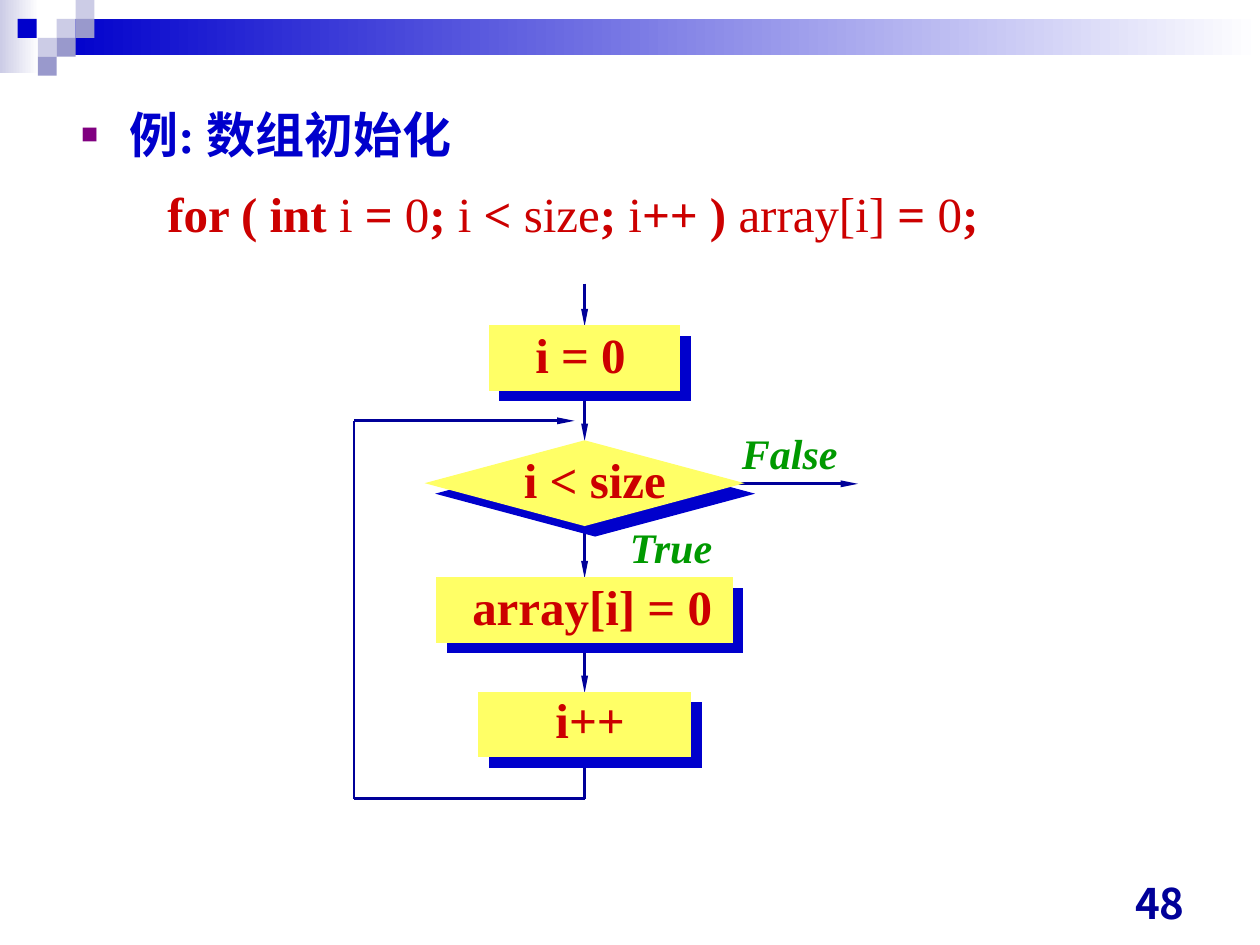
"""Build a slide that explains array initialisation with a for-loop flowchart."""
from lxml import etree
from pptx import Presentation
from pptx.dml.color import RGBColor
from pptx.enum.shapes import MSO_CONNECTOR, MSO_SHAPE
from pptx.enum.text import MSO_ANCHOR, PP_ALIGN
from pptx.oxml.ns import qn
from pptx.util import Inches, Pt

RECTANGLE, DIAMOND = MSO_SHAPE.RECTANGLE, MSO_SHAPE.DIAMOND
STRAIGHT = MSO_CONNECTOR.STRAIGHT
LEFT, RIGHT = PP_ALIGN.LEFT, PP_ALIGN.RIGHT
TOP, BOTTOM = MSO_ANCHOR.TOP, MSO_ANCHOR.BOTTOM

WHITE = RGBColor(0xFF, 0xFF, 0xFF)
BLUE = RGBColor(0x00, 0x00, 0xCC)
NAVY = RGBColor(0x00, 0x00, 0x99)
PALE = RGBColor(0xCC, 0xCC, 0xE6)
LILAC = RGBColor(0x99, 0x99, 0xCC)
YELLOW = RGBColor(0xFF, 0xFF, 0x66)
RED = RGBColor(0xCC, 0x00, 0x00)
GREEN = RGBColor(0x00, 0x99, 0x00)
PURPLE = RGBColor(0x80, 0x00, 0x80)

SERIF, SANS, CHINESE = "Times New Roman", "Noto Sans CJK JP", "Noto Sans CJK SC"
AXIS = 4.64
LOOP_LEFT, LOOP_TOP, LOOP_BOTTOM = 2.81, 3.34, 6.34
TILE = 0.15

TILES = [(0.45, 0.15, PALE), (0.6, 0, PALE), (0.6, 0.15, LILAC), (0.3, 0.3, PALE),
         (0.14, 0.15, BLUE), (0.45, 0.3, LILAC), (0.3, 0.45, LILAC)]
STEPS = [(RECTANGLE, 2.59, 1.5, 0.5, 1.5), (DIAMOND, 3.5, 2.5, 0.67, 0.75),
         (RECTANGLE, 4.59, 2.33, 0.5, 1.5), (RECTANGLE, 5.5, 1.67, 0.5, 1.5)]
LABELS = [("i = 0", 4.15, 2.53, 1), ("i < size", 4.06, 3.52, 1.4),
          ("array[i] = 0", 3.65, 4.53, 2.2), ("i++", 4.31, 5.42, 0.85)]
BRANCHES = [("True", 4.9, 4.09, 0.95), ("False", 5.79, 3.34, 1.05)]
ARROWS = [(AXIS, 2.25, AXIS, 2.59), (AXIS, 3.17, AXIS, 3.5), (AXIS, 4.17, AXIS, 4.59),
          (AXIS, 5.17, AXIS, 5.5), (5.81, 3.84, 6.81, 3.84),
          (LOOP_LEFT, LOOP_TOP, 4.56, LOOP_TOP)]
LINES = [(AXIS, 6.09, AXIS, LOOP_BOTTOM), (AXIS, LOOP_BOTTOM, LOOP_LEFT, LOOP_BOTTOM),
         (LOOP_LEFT, LOOP_TOP, LOOP_LEFT, LOOP_BOTTOM)]
CODE = [("for ( int ", True), ("i", False), (" = ", True), ("0", False), ("; ", True),
        ("i", False), (" < ", True), ("size", False), ("; ", True), ("i", False),
        ("++ ) ", True), ("array[i]", False), (" = ", True), ("0", False), (";", True)]


def add_block(page, kind, left, top, width, height):
    """Add a preset shape without outline or inherited shadow."""
    block = page.shapes.add_shape(kind, Inches(left), Inches(top), Inches(width), Inches(height))
    block.shadow.inherit = False
    block.line.fill.background()
    return block


def add_solid(page, kind, left, top, width, height, color):
    """Add a preset shape in one colour."""
    block = add_block(page, kind, left, top, width, height)
    block.fill.solid()
    block.fill.fore_color.rgb = color
    return block


def add_fade(page, left, top, width, height, color):
    """Add a bar that fades from a colour on the left to white."""
    bar = add_block(page, RECTANGLE, left, top, width, height)
    bar.fill.gradient()
    bar.fill.gradient_angle = 0
    for stop, shade, position in zip(bar.fill.gradient_stops, (color, WHITE), (0, 1)):
        stop.color.rgb = shade
        stop.position = position


def add_step(page, kind, top, width, height, weight):
    """Add a sharp-cornered step centred on the axis, with a hard blue shadow."""
    step = add_solid(page, kind, AXIS - width / 2, top, width, height, YELLOW)
    step.line.color.rgb = YELLOW
    step.line.width = Pt(weight)
    properties = step._element.spPr
    etree.SubElement(properties.find(qn("a:ln")), qn("a:miter"), lim="800000")
    shadow = etree.SubElement(properties.find(qn("a:effectLst")), qn("a:outerShdw"),
                              dist=str(Pt(8.5)), dir="2700000", algn="ctr", rotWithShape="0")
    etree.SubElement(shadow, qn("a:srgbClr"), val=str(BLUE))


def add_line(page, ends, arrow=False):
    """Add a straight navy line, with an arrowhead at its end if asked."""
    line = page.shapes.add_connector(STRAIGHT, *[Inches(value) for value in ends])
    line.line.color.rgb = NAVY
    line.line.width = Pt(1.5)
    properties = line._element.spPr
    if arrow:
        etree.SubElement(properties.find(qn("a:ln")), qn("a:tailEnd"),
                         type="triangle", w="sm", len="lg")
    etree.SubElement(properties, qn("a:effectLst"))


def style(span, size, color, bold=True, italic=False, font=SERIF):
    """Format one run of text."""
    span.font.name = font
    span.font.size = Pt(size)
    span.font.bold = bold
    span.font.italic = italic
    span.font.color.rgb = color


def add_text(page, text, left, top, width, height, size, color, italic=False,
             font=SERIF, align=LEFT, anchor=TOP):
    """Add a text box that holds one bold run."""
    box = page.shapes.add_textbox(Inches(left), Inches(top), Inches(width), Inches(height))
    frame = box.text_frame
    frame.word_wrap = True
    frame.vertical_anchor = anchor
    frame.text = text
    para = frame.paragraphs[0]
    para.alignment = align
    style(para.runs[0], size, color, italic=italic, font=font)
    return box


def set_bullet(para):
    """Give a paragraph a small purple square with a hanging indent."""
    properties = para._p.get_or_add_pPr()
    properties.set("marL", str(Inches(0.38)))
    properties.set("indent", str(Inches(-0.38)))
    color = etree.SubElement(properties, qn("a:buClr"))
    etree.SubElement(color, qn("a:srgbClr"), val=str(PURPLE))
    etree.SubElement(properties, qn("a:buSzPct"), val="35000")
    etree.SubElement(properties, qn("a:buFont"), typeface=CHINESE)
    etree.SubElement(properties, qn("a:buChar"), char="■")


def add_heading(page):
    """Add the bulleted title and the line of code under it."""
    box = add_text(page, "例: 数组初始化", 0.55, 0.76, 8.5, 1.33, 28, BLUE)
    title = box.text_frame.paragraphs[0]
    title.line_spacing = 1.05
    title.space_before = Pt(7)
    set_bullet(title)
    etree.SubElement(title.runs[0].font._element, qn("a:ea"), typeface=CHINESE)
    code = box.text_frame.add_paragraph()
    code.line_spacing = 1.05
    code.space_before = Pt(9.5)
    code._p.get_or_add_pPr().set("marL", str(Inches(0.68)))
    for text, bold in CODE:
        span = code.add_run()
        span.text = text
        style(span, 28, RED, bold)


def add_banner(page):
    """Add the fading bars and the tiles at the top."""
    add_fade(page, 0, 0, 0.31, 0.58, PALE)
    add_fade(page, 0.45, 0.15, 9.55, 0.29, BLUE)
    for left, top, color in TILES:
        add_solid(page, RECTANGLE, left, top, TILE, TILE, color)


def add_flowchart(page):
    """Add the loop flowchart with its steps, arrows and labels."""
    for ends in ARROWS:
        add_line(page, ends, arrow=True)
    for ends in LINES:
        add_line(page, ends)
    for step in STEPS:
        add_step(page, *step)
    for text, left, top, width in LABELS:
        add_text(page, text, left, top, width, 0.57, 28, RED)
    for text, left, top, width in BRANCHES:
        add_text(page, text, left, top, width, 0.5, 24, GREEN, italic=True)


def main():
    """Build and save the deck."""
    deck = Presentation()
    deck.slide_width, deck.slide_height = Inches(10), Inches(7.5)
    page = deck.slides.add_slide(deck.slide_layouts[6])
    add_banner(page)
    add_heading(page)
    add_flowchart(page)
    add_text(page, "48", 7.17, 6.91, 2.33, 0.5, 24, NAVY, font=SANS,
             align=RIGHT, anchor=BOTTOM)
    deck.save("out.pptx")


if __name__ == "__main__":
    main()
